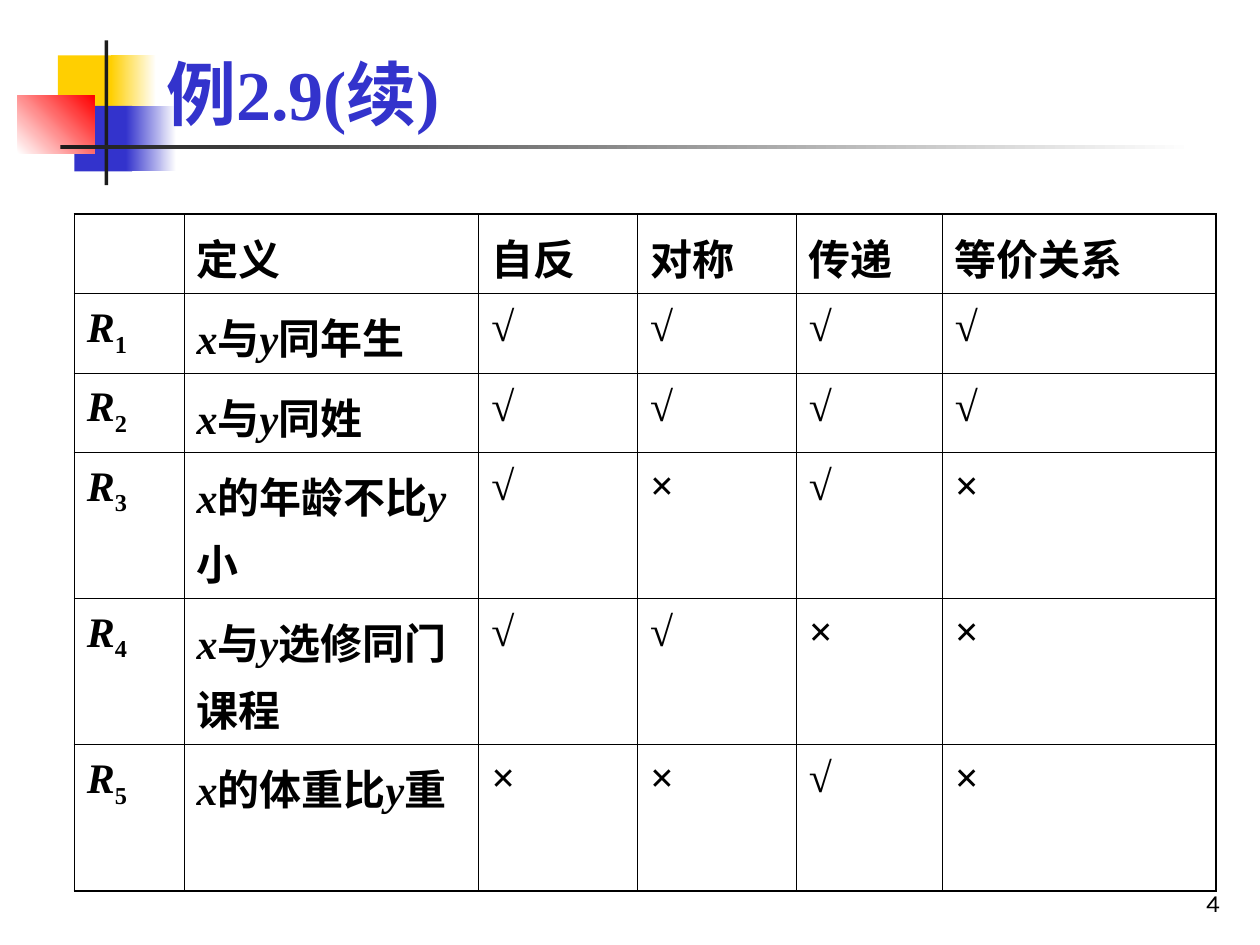
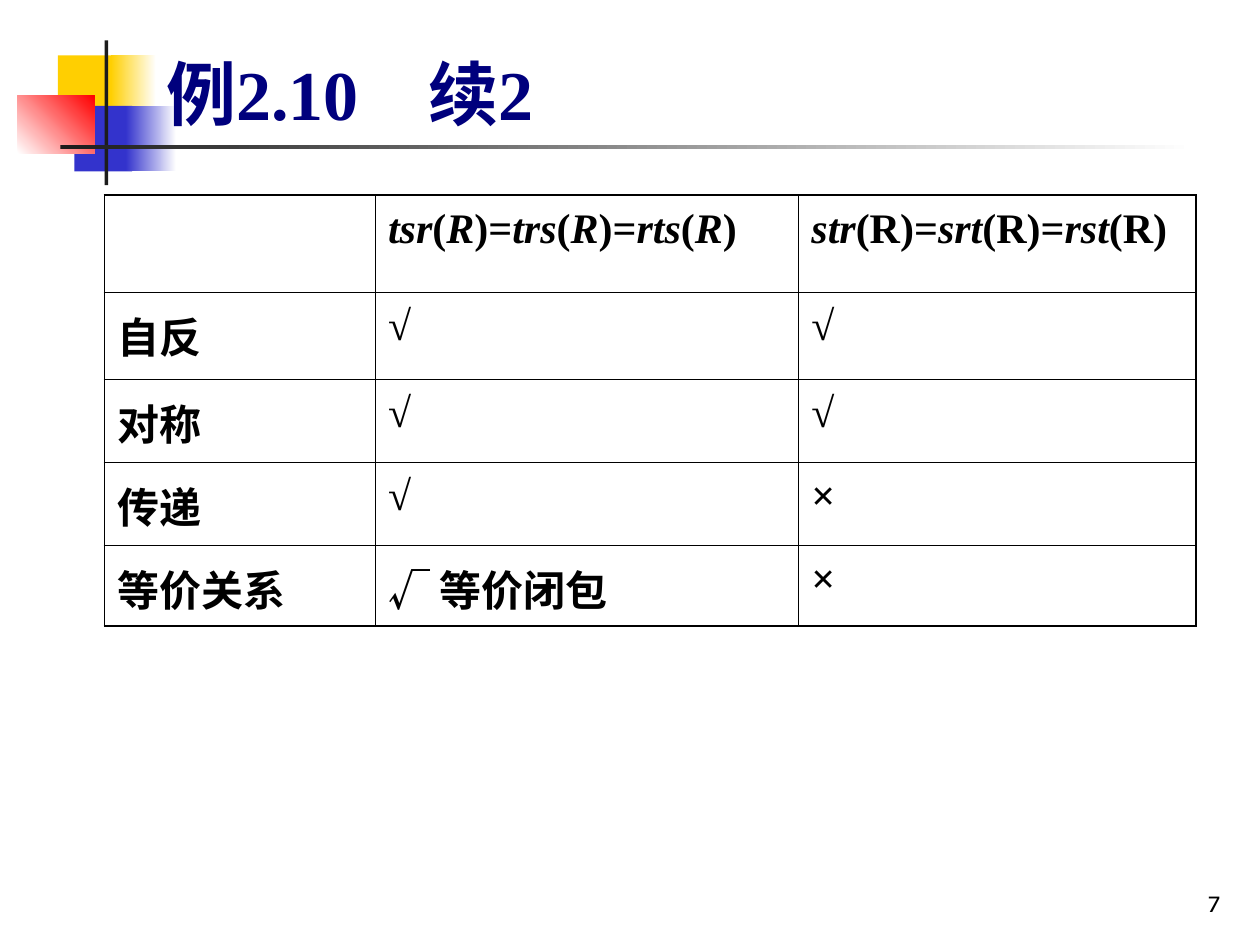
from dataclasses import dataclass
from typing import Optional

from lxml import etree
from pptx import Presentation
from pptx.dml.color import RGBColor
from pptx.enum import shapes, text
from pptx.oxml import ns
from pptx.util import Inches, Pt

YELLOW = RGBColor(0xFF, 0xCF, 0x01)
BLUE = RGBColor(0x33, 0x33, 0xCC)
NAVY = RGBColor(0x00, 0x00, 0x7D)
RED = RGBColor(0xFF, 0x00, 0x00)
CHARCOAL = RGBColor(0x1C, 0x1C, 0x1C)
WHITE = RGBColor(0xFF, 0xFF, 0xFF)
BLACK = RGBColor(0x00, 0x00, 0x00)

BODY_FONT = "Times New Roman"
NUMBER_FONT = "Karla"
INNER_BORDER, OUTER_BORDER = Pt(0.45), Pt(1.08)


@dataclass(frozen=True)
class Block:
    left: float
    top: float
    width: float
    height: float
    color: RGBColor
    fade_to: Optional[RGBColor] = None
    angle: float = 0


@dataclass(frozen=True)
class Grid:
    left: float
    top: float
    cols: list[float]
    rows: list[float]
    cells: list[list[str]]


@dataclass(frozen=True)
class Page:
    title: str
    title_color: RGBColor
    number: int
    grid: Grid
    title_tab: Optional[float] = None


MOTIF = [
    Block(0.46, 0.44, 0.48, 0.52, YELLOW),
    Block(0.88, 0.44, 0.36, 0.52, YELLOW, WHITE),
    Block(0.59, 0.84, 0.46, 0.52, BLUE),
    Block(1, 0.84, 0.4, 0.52, BLUE, WHITE),
    Block(0.14, 0.76, 0.61, 0.46, WHITE, RED, angle=45),
    Block(0.83, 0.32, 0.03, 1.15, CHARCOAL),
    Block(0.48, 1.15, 9, 0.03, CHARCOAL, WHITE),
]

# In cell text, *...* is italic and a part that starts with _ is a subscript.
PAGES = [
    Page("例2.9(续)", BLUE, 4, Grid(
        0.59, 1.7, [0.87, 2.34, 1.26, 1.26, 1.16, 2.17], [0.63] * 3 + [1.16] * 3,
        [
            ["", "定义", "自反", "对称", "传递", "等价关系"],
            ["*R*_1", "*x*与*y*同年生", *"√√√√"],
            ["*R*_2", "*x*与*y*同姓", *"√√√√"],
            ["*R*_3", "*x*的年龄不比*y*小", *"√×√×"],
            ["*R*_4", "*x*与*y*选修同门课程", *"√√××"],
            ["*R*_5", "*x*的体重比*y*重", *"××√×"],
        ])),
    Page("例2.10\t续2", NAVY, 7, Grid(
        0.83, 1.55, [2.15, 3.36, 3.15], [0.77, 0.69, 0.66, 0.66, 0.64],
        [
            ["", "*tsr*(*R*)=*trs*(*R*)=*rts*(*R*)", "*str*(R)=*srt*(R)=*rst*(R)"],
            ["自反", "√", "√"],
            ["对称", "√", "√"],
            ["传递", "√", "×"],
            ["等价关系", "√ 等价闭包", "×"],
        ]), title_tab=2.08),
]


def add_run(p, content: str, *, size: float, font: str = BODY_FONT,
            color: RGBColor = BLACK, bold: bool = True, italic: bool = False):
    r = p.add_run()
    r.text = content
    r.font.size, r.font.name = Pt(size), font
    r.font.bold, r.font.italic = bold, italic
    r.font.color.rgb = color
    return r


def add_marked_text(p, marked: str) -> None:
    for i, part in enumerate(marked.split("*")):
        if part:
            r = add_run(p, part.removeprefix("_"), size=24, italic=i % 2 == 1)
            if part.startswith("_"):
                r._r.get_or_add_rPr().set("baseline", "-25000")


def add_block(s, block: Block) -> None:
    sp = s.shapes.add_shape(
        shapes.MSO_SHAPE.RECTANGLE, Inches(block.left), Inches(block.top),
        Inches(block.width), Inches(block.height))
    sp.shadow.inherit = False
    sp.line.fill.background()
    if block.fade_to is None:
        sp.fill.solid()
        sp.fill.fore_color.rgb = block.color
    else:
        sp.fill.gradient()
        sp.fill.gradient_angle = block.angle
        for stop, color in zip(sp.fill.gradient_stops, (block.color, block.fade_to)):
            stop.color.rgb = color


def add_bottom_text(s, left: float, top: float, width: float, height: float):
    """Add a bottom-anchored text box and return its first paragraph."""
    tf = s.shapes.add_textbox(
        Inches(left), Inches(top), Inches(width), Inches(height)).text_frame
    tf.word_wrap = True
    tf.vertical_anchor = text.MSO_ANCHOR.BOTTOM
    return tf.paragraphs[0]


def add_tab_stop(p, position: float) -> None:
    tabs = etree.SubElement(p._p.get_or_add_pPr(), ns.qn("a:tabLst"))
    etree.SubElement(tabs, ns.qn("a:tab"), pos=str(Inches(position)), algn="l")


def set_border(cell, side: str, width: int) -> None:
    ln = etree.SubElement(cell._tc.get_or_add_tcPr(), ns.qn(f"a:ln{side}"), w=str(width))
    fill = etree.SubElement(ln, ns.qn("a:solidFill"))
    etree.SubElement(fill, ns.qn("a:srgbClr"), val=str(BLACK))


def add_grid(s, grid: Grid) -> None:
    n_rows, n_cols = len(grid.rows), len(grid.cols)
    table = s.shapes.add_table(
        n_rows, n_cols, Inches(grid.left), Inches(grid.top),
        Inches(sum(grid.cols)), Inches(sum(grid.rows))).table
    table.first_row = table.horz_banding = False
    for column, width in zip(table.columns, grid.cols):
        column.width = Inches(width)
    for row, height in zip(table.rows, grid.rows):
        row.height = Inches(height)
    for i, line in enumerate(grid.cells):
        for j, marked in enumerate(line):
            cell = table.cell(i, j)
            edges = {"L": j == 0, "R": j == n_cols - 1, "T": i == 0, "B": i == n_rows - 1}
            for side, outer in edges.items():
                set_border(cell, side, OUTER_BORDER if outer else INNER_BORDER)
            cell.fill.background()
            p = cell.text_frame.paragraphs[0]
            p.line_spacing = 1.1
            add_marked_text(p, marked)


def add_page(prs, page: Page) -> None:
    s = prs.slides.add_slide(prs.slide_layouts[6])
    for block in MOTIF:
        add_block(s, block)
    p = add_bottom_text(s, 7.7, 6.83, 2.08, 0.5)
    p.alignment = text.PP_ALIGN.RIGHT
    add_run(p, str(page.number), size=14, font=NUMBER_FONT, bold=False)
    p = add_bottom_text(s, 1.22, 0.28, 8.52, 0.84)
    if page.title_tab is not None:
        add_tab_stop(p, page.title_tab)
    add_run(p, page.title, size=40, color=page.title_color)
    add_grid(s, page.grid)


def main() -> None:
    prs = Presentation()
    prs.slide_width, prs.slide_height = Inches(10), Inches(7.5)
    for page in PAGES:
        add_page(prs, page)
    prs.save("out.pptx")


if __name__ == "__main__":
    main()
